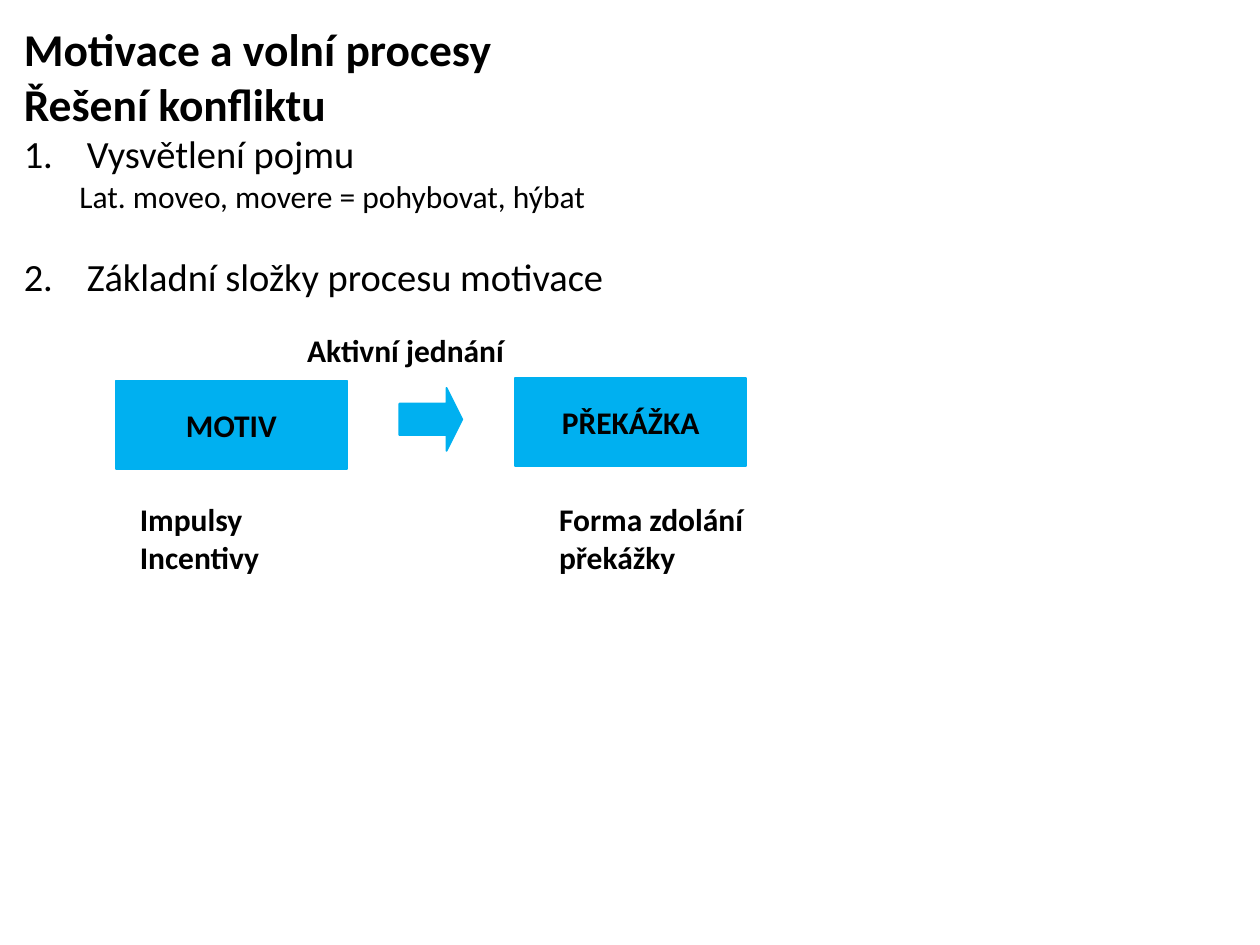
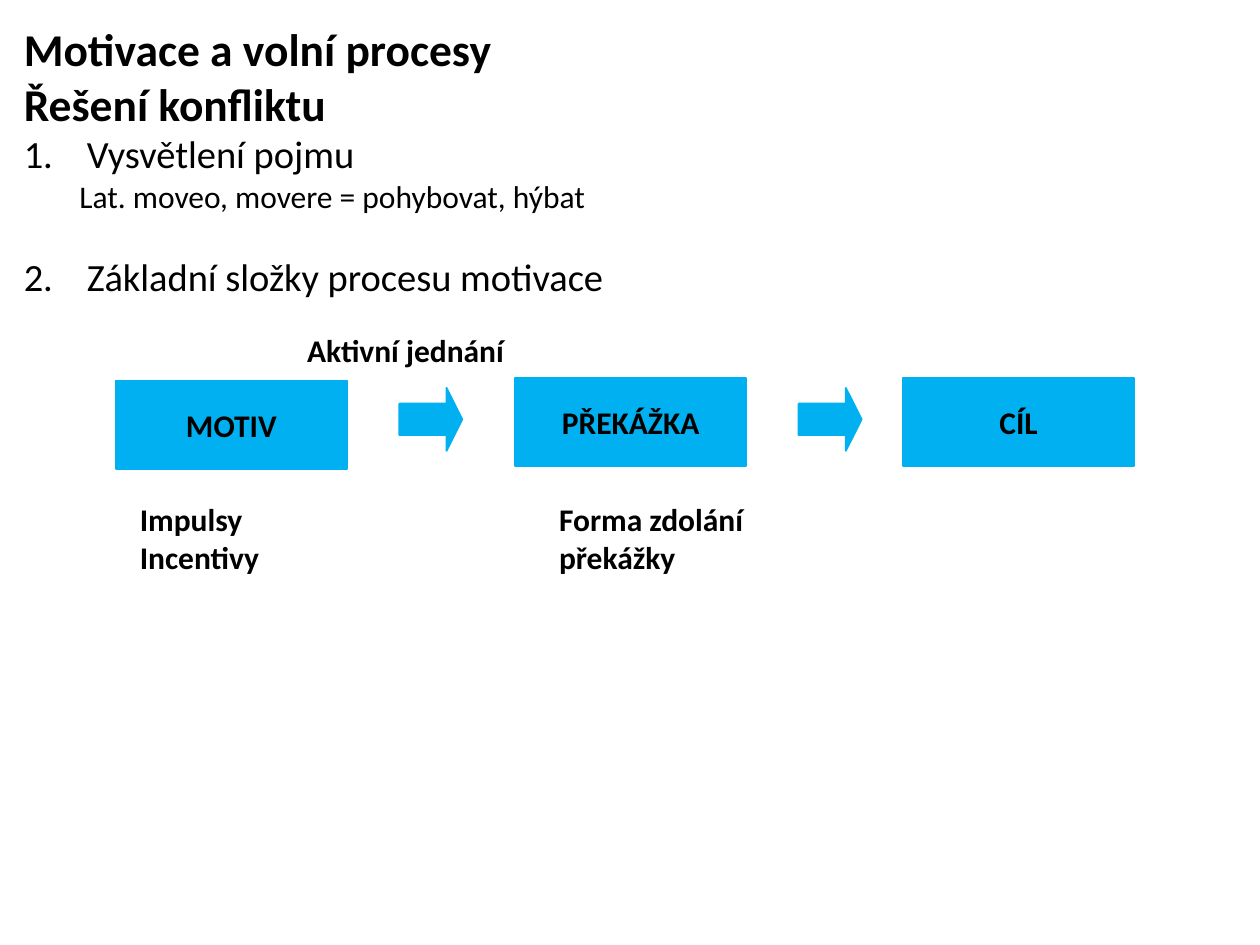
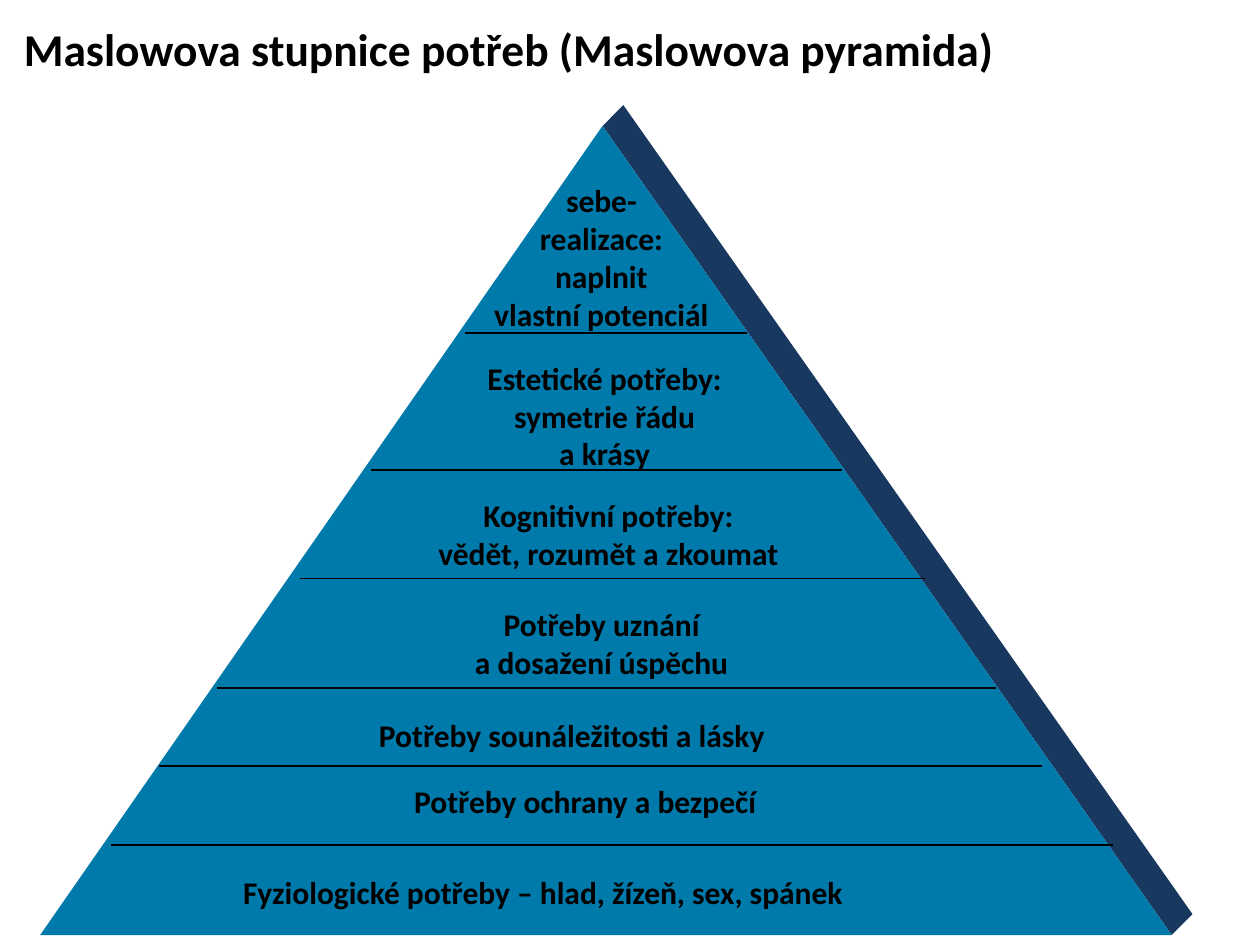
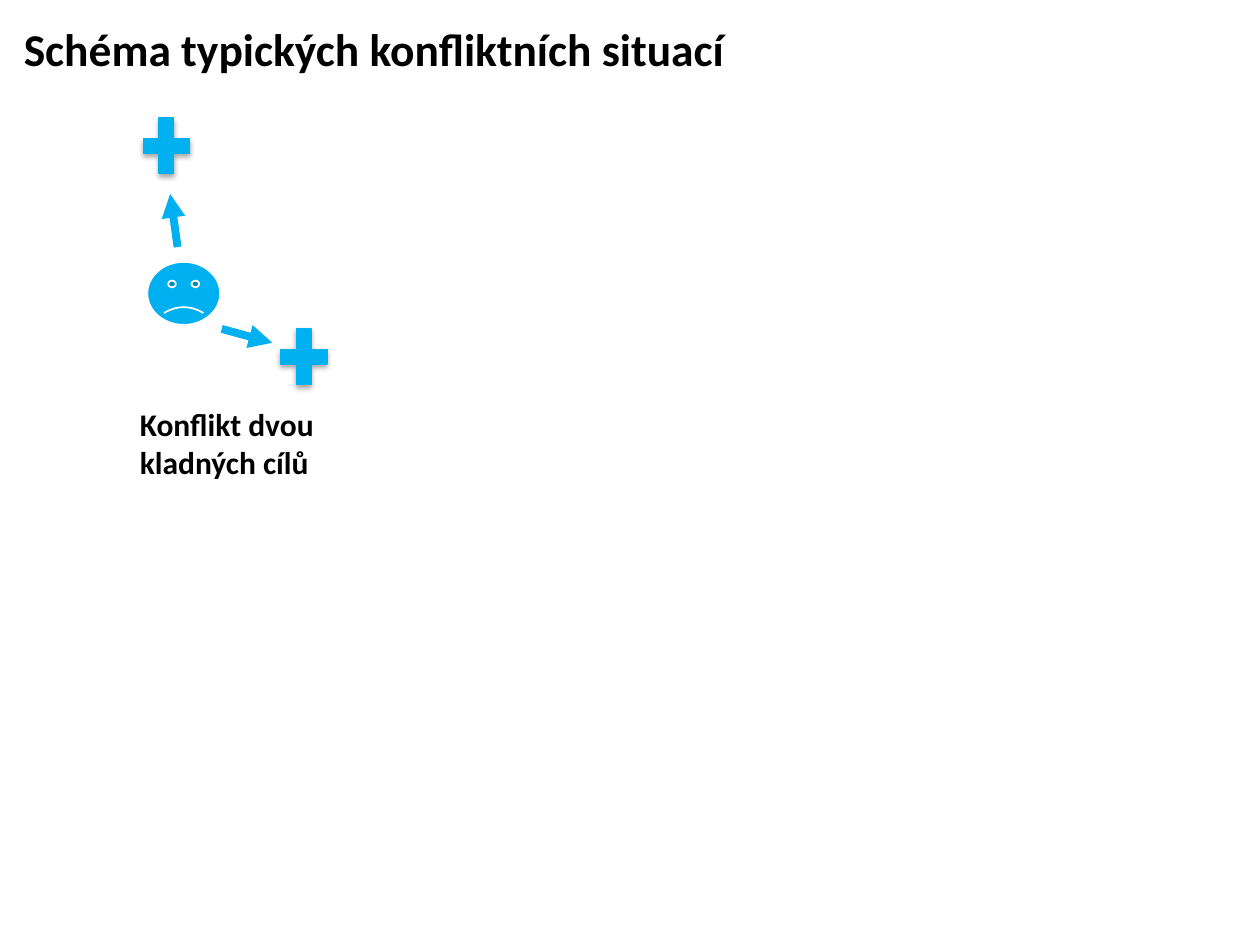
from lxml import etree
from pptx import Presentation
from pptx import util as u
from pptx.dml import color
from pptx.enum import shapes, text
from pptx.oxml import ns

Cm = u.Cm
FONT = "Calibri"
BLACK, WHITE, BLUE = "000000", "FFFFFF", "00B0F0"
FACE, SIDE = "007AAB", "183860"
STAGE_Y, CAPTION_Y = 7.62, 9.96

DIVIDERS = [
    (4.17, 8.56, 14.25), (6.93, 6.66, 16.16), (9.12, 5.24, 17.83),
    (11.33, 3.56, 19.26), (12.9, 2.39, 20.2), (14.5, 1.43, 21.62),
]
NEEDS = [
    (3.84, 14.94, 14.94, ["Fyziologické potřeby – hlad, žízeň, sex, spánek"]),
    (7.29, 13.11, 7.47, ["Potřeby ochrany a bezpečí"]),
    (6.58, 11.76, 8.36, ["Potřeby sounáležitosti a lásky"]),
    (8.49, 9.53, 5.66, ["Potřeby uznání", "a dosažení úspěchu"]),
    (7.67, 7.34, 7.57, ["Kognitivní potřeby:", "vědět, rozumět a zkoumat"]),
    (8.74, 4.57, 5.28, ["Estetické potřeby:", "symetrie řádu", "a krásy"]),
    (8.89, 0.99, 4.85, ["sebe-", "realizace:", "naplnit", "vlastní potenciál"]),
]


def rgb(code):
    """Turn a hex string into a colour."""
    return color.RGBColor.from_string(code)


def child(parent, tag, **attributes):
    """Append a drawing element to an XML parent."""
    return etree.SubElement(parent, ns.qn(tag), attributes)


def add_span(para, words, size=18, bold=True):
    """Add one formatted run to a paragraph."""
    span = para.add_run()
    span.text = words
    span.font.name = FONT
    span.font.size = u.Pt(size)
    span.font.bold = bold
    span.font.color.rgb = rgb(BLACK)


def set_margins(frame, margin):
    """Give a text frame the same margin on all sides."""
    frame.margin_left = frame.margin_right = Cm(margin)
    frame.margin_top = frame.margin_bottom = Cm(margin)


def add_label(parent, left, top, width, lines, wrap=True, centred=False):
    """Add a bold label whose lines are split by line breaks."""
    rows = 2 if wrap and " " in lines[0] and width < 5.8 else len(lines)
    box = parent.add_textbox(Cm(left), Cm(top), Cm(width), Cm(0.25 + 0.77 * rows))
    frame = box.text_frame
    frame.word_wrap = wrap
    frame.auto_size = text.MSO_AUTO_SIZE.SHAPE_TO_FIT_TEXT
    para = frame.paragraphs[0]
    para.alignment = text.PP_ALIGN.CENTER if centred else text.PP_ALIGN.LEFT
    for index, line in enumerate(lines):
        if index:
            para.add_line_break()
        add_span(para, line)


def add_figure(parent, kind, left, top, width, height, fill=BLUE, line=BLUE, weight=1):
    """Add a filled preset shape without a shadow."""
    figure = parent.add_shape(kind, Cm(left), Cm(top), Cm(width), Cm(height))
    paint(figure, fill, line, weight)
    return figure


def paint(figure, fill, line, weight):
    """Set fill and outline, and switch the shadow off."""
    figure.shadow.inherit = False
    figure.fill.solid()
    figure.fill.fore_color.rgb = rgb(fill)
    if line:
        figure.line.color.rgb = rgb(line)
        figure.line.width = u.Pt(weight)
    else:
        figure.line.fill.background()


def add_line(parent, start, end, shade, weight, arrow=False):
    """Draw a straight line between two points, with an arrowhead if asked."""
    ends = [Cm(value) for value in (*start, *end)]
    line = parent.add_connector(shapes.MSO_CONNECTOR.STRAIGHT, *ends)
    line.line.color.rgb = rgb(shade)
    line.line.width = u.Pt(weight)
    if arrow:
        child(line.line._get_or_add_ln(), "a:tailEnd", type="triangle")
    child(line._element.spPr, "a:effectLst")


def add_body(page, paragraphs, height):
    """Fill the text area at the top of a page."""
    box = page.shapes.add_textbox(Cm(0.48), Cm(0.43), Cm(24.51), Cm(height))
    frame = box.text_frame
    frame.word_wrap = True
    set_margins(frame, 0)
    for index, (words, size, role, gap) in enumerate(paragraphs):
        para = frame.paragraphs[0] if index == 0 else frame.add_paragraph()
        para.space_before = u.Pt(gap)
        add_span(para, words, size, role == "title")
        props = para._p.get_or_add_pPr()
        if role == "point":
            props.set("marL", str(Cm(1.27)))
            props.set("indent", str(-Cm(1.27)))
            child(props, "a:buFont", typeface=FONT)
            child(props, "a:buAutoNum", type="arabicPeriod")
        elif role == "detail":
            para.level = 1
            props.set("marL", str(Cm(1.12)))
            props.set("indent", "0")


def add_stage(parent, left, top, words):
    """Add one box of the motivation process."""
    stage = add_figure(parent, shapes.MSO_SHAPE.RECTANGLE, left, top, 4.65, 1.78)
    frame = stage.text_frame
    frame.word_wrap = True
    frame.vertical_anchor = text.MSO_ANCHOR.TOP
    set_margins(frame, 0.51)
    para = frame.paragraphs[0]
    para.alignment = text.PP_ALIGN.CENTER
    add_span(para, words)


def add_step(page, left, words, offset, top=STAGE_Y, caption=None):
    """Group a stage with its incoming arrow and its caption."""
    group = page.shapes.add_group_shape().shapes
    add_stage(group, left + offset, top, words)
    if offset:
        arrow = add_figure(group, shapes.MSO_SHAPE.RIGHT_ARROW, left, top + 0.2, 1.27, 1.27)
        arrow.adjustments[0] = 0.5
        arrow.adjustments[1] = 0.25
    if caption:
        shift, width, note = caption
        add_label(group, left + shift, CAPTION_Y, width, [note])


def process_page(page, with_goal):
    """Build the page on the parts of motivation."""
    add_body(page, [
        ("Motivace a volní procesy", 26, "title", 0),
        ("Řešení konfliktu", 26, "title", 0),
        ("Vysvětlení pojmu", 22, "point", 0),
        ("Lat. moveo, movere = pohybovat, hýbat", 18, "detail", 0),
        ("Základní složky procesu motivace", 22, "point", 22),
    ], 5.89)
    if with_goal:
        add_step(page, 16.1, "CÍL", 2.11)
    add_label(page.shapes, 5.94, 6.55, 5.51, ["Aktivní jednání"], wrap=False)
    add_step(page, 8.05, "PŘEKÁŽKA", 2.34, caption=(2.97, 5.72, "Forma zdolání překážky"))
    add_step(page, 2.34, "MOTIV", 0, STAGE_Y + 0.05, (0.23, 3.81, "Impulsy Incentivy"))


def add_pyramid(page, left, top, width, height):
    """Draw the pyramid of needs with its dark side and dividers."""
    parent, depth, peak = page.shapes, 0.42, 0.497
    apex = left + peak * width
    right, base = left + width, top + height
    outline = [(apex + depth, top - depth), (right + depth, base - depth), (right, base)]
    builder = parent.build_freeform(Cm(apex), Cm(top))
    builder.add_line_segments([(Cm(x), Cm(y)) for x, y in outline])
    paint(builder.convert_to_shape(), SIDE, None, 0)
    face = add_figure(parent, shapes.MSO_SHAPE.ISOSCELES_TRIANGLE,
                      left, top, width, height, FACE, None)
    face.adjustments[0] = peak
    for y, start, end in DIVIDERS:
        add_line(parent, (left + start, top + y), (left + end, top + y), BLACK, 1)
    for x, y, span_width, lines in NEEDS:
        add_label(parent, left + x, top + y, span_width, lines, False, len(lines) > 1)


def pyramid_page(page):
    """Build the page with the scale of needs."""
    add_body(page, [("Maslowova stupnice potřeb (Maslowova pyramida)", 26, "title", 0)], 18.62)
    add_pyramid(page, 0.81, 2.54, 22.81, 16.31)


def add_plus(parent, left, top):
    """Add a positive goal with a soft shadow."""
    plus = add_figure(parent, shapes.MSO_SHAPE.MATH_PLUS, left, top, 1.27, 1.52, weight=0.75)
    effects = plus._element.spPr.find(ns.qn("a:effectLst"))
    shadow = child(effects, "a:outerShdw", blurRad=str(u.Pt(3.1)), dist=str(u.Pt(1.8)),
                   dir="5400000", rotWithShape="0")
    child(child(shadow, "a:srgbClr", val=BLACK), "a:alpha", val="35000")


def add_conflict(page, left, top):
    """Draw a person torn between two positive goals."""
    group = page.shapes.add_group_shape().shapes
    add_label(group, left, top + 5.87, 5.51, ["Konflikt dvou kladných cílů"])
    person = add_figure(group, shapes.MSO_SHAPE.SMILEY_FACE,
                        left + 0.4, top + 3.1, 1.47, 1.27, line=WHITE)
    person.adjustments[0] = -0.047
    for x1, y1, x2, y2 in [(1.9, 4.45, 2.92, 4.73), (1.01, 2.8, 0.86, 1.73)]:
        add_line(group, (left + x1, top + y1), (left + x2, top + y2), BLUE, 4.5, True)
    for x, y in [(0.15, 0), (2.92, 4.25)]:
        add_plus(group, left + x, top + y)


def conflict_page(page):
    """Build the page with the typical conflict."""
    add_body(page, [("Schéma typických konfliktních situací", 26, "title", 0)], 5.38)
    add_conflict(page, 2.57, 2.18)


def main():
    """Build and save the deck."""
    deck = Presentation()
    deck.slide_width, deck.slide_height = Cm(25.4), Cm(19.05)
    blank = deck.slide_layouts[6]
    for with_goal in (False, True):
        process_page(deck.slides.add_slide(blank), with_goal)
    pyramid_page(deck.slides.add_slide(blank))
    conflict_page(deck.slides.add_slide(blank))
    deck.save("out.pptx")


if __name__ == "__main__":
    main()
